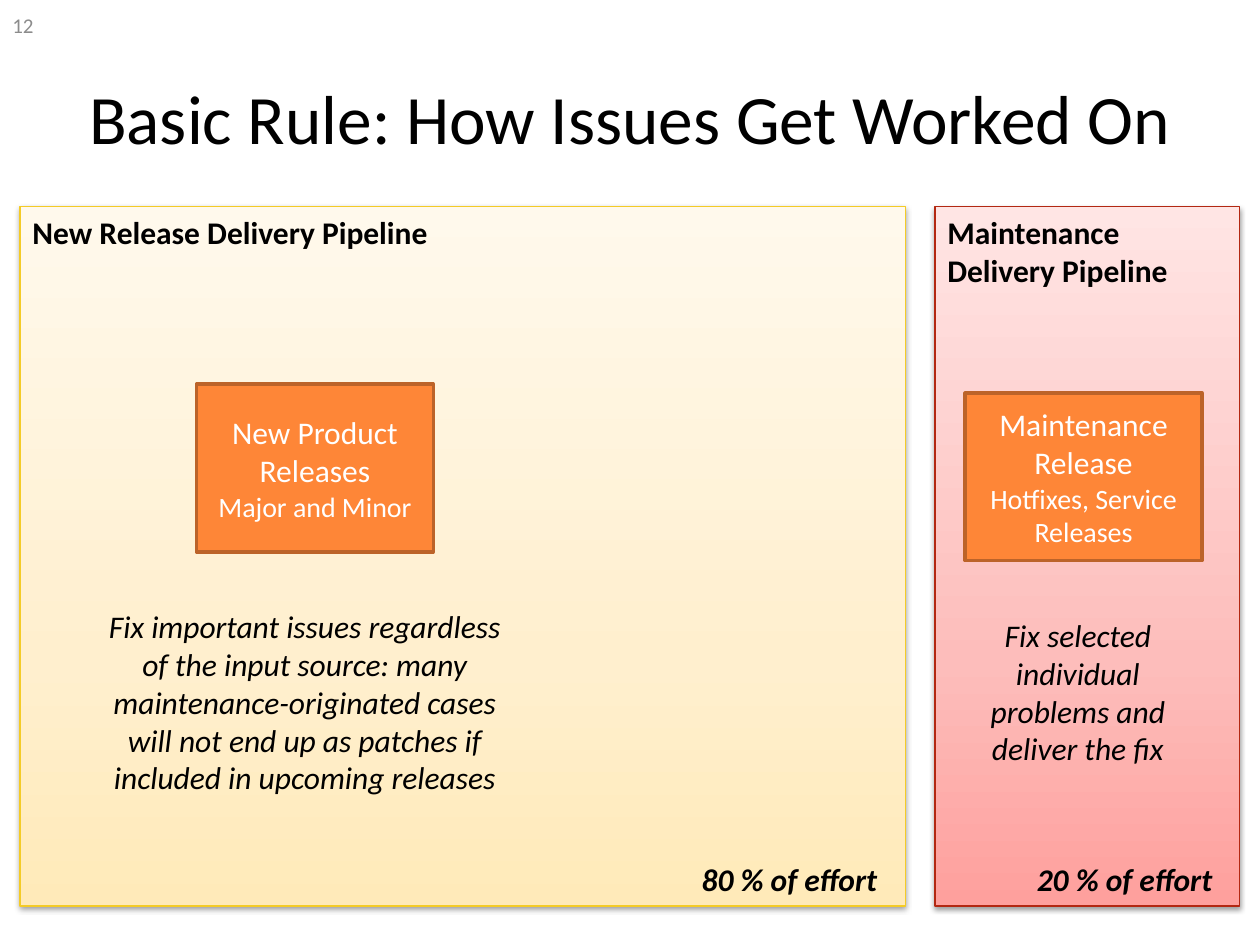
from dataclasses import dataclass

from lxml import etree
from pptx import Presentation
from pptx.dml.color import RGBColor
from pptx.enum.shapes import MSO_SHAPE
from pptx.enum.text import MSO_ANCHOR, MSO_AUTO_SIZE, PP_ALIGN
from pptx.oxml.ns import qn
from pptx.util import Inches, Pt

RECT = MSO_SHAPE.RECTANGLE
TOP, MIDDLE = MSO_ANCHOR.TOP, MSO_ANCHOR.MIDDLE
LEFT, CENTER = PP_ALIGN.LEFT, PP_ALIGN.CENTER
NO_FIT = MSO_AUTO_SIZE.NONE


@dataclass(frozen=True)
class Theme:
    font: str = "Calibri"
    ink: str = "000000"
    white: str = "FFFFFF"
    gray: str = "8C8C8C"
    box: str = "FE8637"
    edge: str = "BC6329"
    gold: tuple = ("FFEAB9", "FFEFCE", "FFF9EC")
    gold_line: str = "F4CB27"
    red: tuple = ("FEA09D", "FDBDBB", "FFE5E4")
    red_line: str = "B32812"
    title: float = 39.6
    body: float = 18
    sub: float = 16
    small: float = 12


THEME = Theme()


def rgb(code):
    return RGBColor.from_string(code)


def write(shape, lines, color=THEME.ink, align=LEFT, anchor=TOP,
          bold=False, italic=False):
    """Fill a shape with (text, size) lines, one paragraph each."""
    frame = shape.text_frame
    frame.word_wrap = True
    frame.auto_size = NO_FIT
    frame.vertical_anchor = anchor
    frame.text = "\n".join(text for text, _ in lines)
    for para, (_, size) in zip(frame.paragraphs, lines):
        para.alignment = align
        for run in para.runs:
            font = run.font
            font.name, font.size = THEME.font, Pt(size)
            font.bold, font.italic = bold, italic
            font.color.rgb = rgb(color)


def add_rect(slide, at, line, width):
    shape = slide.shapes.add_shape(RECT, *map(Inches, at))
    shape.shadow.inherit = False
    shape.line.color.rgb = rgb(line)
    shape.line.width = Pt(width)
    return shape


def shade(shape, colors):
    """Blend three colours from the bottom edge to the top."""
    shape.fill.gradient()
    shape.fill.gradient_angle = 90
    stops = shape._element.spPr.find(qn("a:gradFill")).find(qn("a:gsLst"))
    for old in list(stops):
        stops.remove(old)
    for pos, color in zip((0, 35, 100), colors):
        stop = etree.SubElement(stops, qn("a:gs"), pos=str(pos * 1000))
        etree.SubElement(stop, qn("a:srgbClr"), val=color)


def drop_shadow(shape):
    effects = shape._element.spPr.find(qn("a:effectLst"))
    outer = etree.SubElement(effects, qn("a:outerShdw"), blurRad=str(Pt(3.1)),
                             dist=str(Pt(1.6)), dir="5400000", rotWithShape="0")
    color = etree.SubElement(outer, qn("a:srgbClr"), val=THEME.ink)
    etree.SubElement(color, qn("a:alpha"), val="38000")


def add_pipe(slide, left, width, colors, line, name):
    pipe = add_rect(slide, (left, 1.64, width, 5.55), line, 0.75)
    shade(pipe, colors)
    drop_shadow(pipe)
    write(pipe, [(name, THEME.body)], bold=True)


def add_box(slide, left, top, name, detail):
    box = add_rect(slide, (left, top, 1.88, 1.33), THEME.edge, 2)
    box.fill.solid()
    box.fill.fore_color.rgb = rgb(THEME.box)
    write(box, [(name, THEME.body), (detail, THEME.sub)], THEME.white,
          CENTER, MIDDLE)


def add_note(slide, at, text, size=THEME.body, **style):
    note = slide.shapes.add_textbox(*map(Inches, at))
    write(note, [(text, size)], **style)


def add_title(slide, text):
    title = slide.shapes.title
    title.left, title.top = Inches(0.5), Inches(0.3)
    title.width, title.height = Inches(9), Inches(1.25)
    write(title, [(text, THEME.title)], align=CENTER, anchor=MIDDLE)


def main():
    deck = Presentation()
    deck.slide_width, deck.slide_height = Inches(10), Inches(7.5)
    slide = deck.slides.add_slide(deck.slide_layouts[5])

    add_title(slide, "Basic Rule: How Issues Get Worked On")
    add_pipe(slide, 0.16, 7.03, THEME.gold, THEME.gold_line,
             "New Release Delivery Pipeline")
    add_pipe(slide, 7.42, 2.42, THEME.red, THEME.red_line,
             "Maintenance Delivery Pipeline")
    for left, share in ((5.47, 80), (8.13, 20)):
        add_note(slide, (left, 6.78, 1.72, 0.4), f"{share} % of effort",
                 bold=True, italic=True)

    add_box(slide, 1.56, 3.05, "New Product Releases", "Major and Minor")
    add_box(slide, 7.66, 3.12, "Maintenance Release",
            "Hotfixes, Service Releases")
    add_note(slide, (0.7, 4.77, 3.44, 1.62),
             "Fix important issues regardless of the input source: many "
             "maintenance-originated cases will not end up as patches if "
             "included in upcoming releases", align=CENTER, italic=True)
    add_note(slide, (7.58, 4.84, 1.95, 1.31),
             "Fix selected individual problems and deliver the fix",
             align=CENTER, italic=True)
    add_note(slide, (0, 0, 2.33, 0.4), "12", THEME.small, color=THEME.gray,
             anchor=MIDDLE)

    deck.save("out.pptx")


if __name__ == "__main__":
    main()
